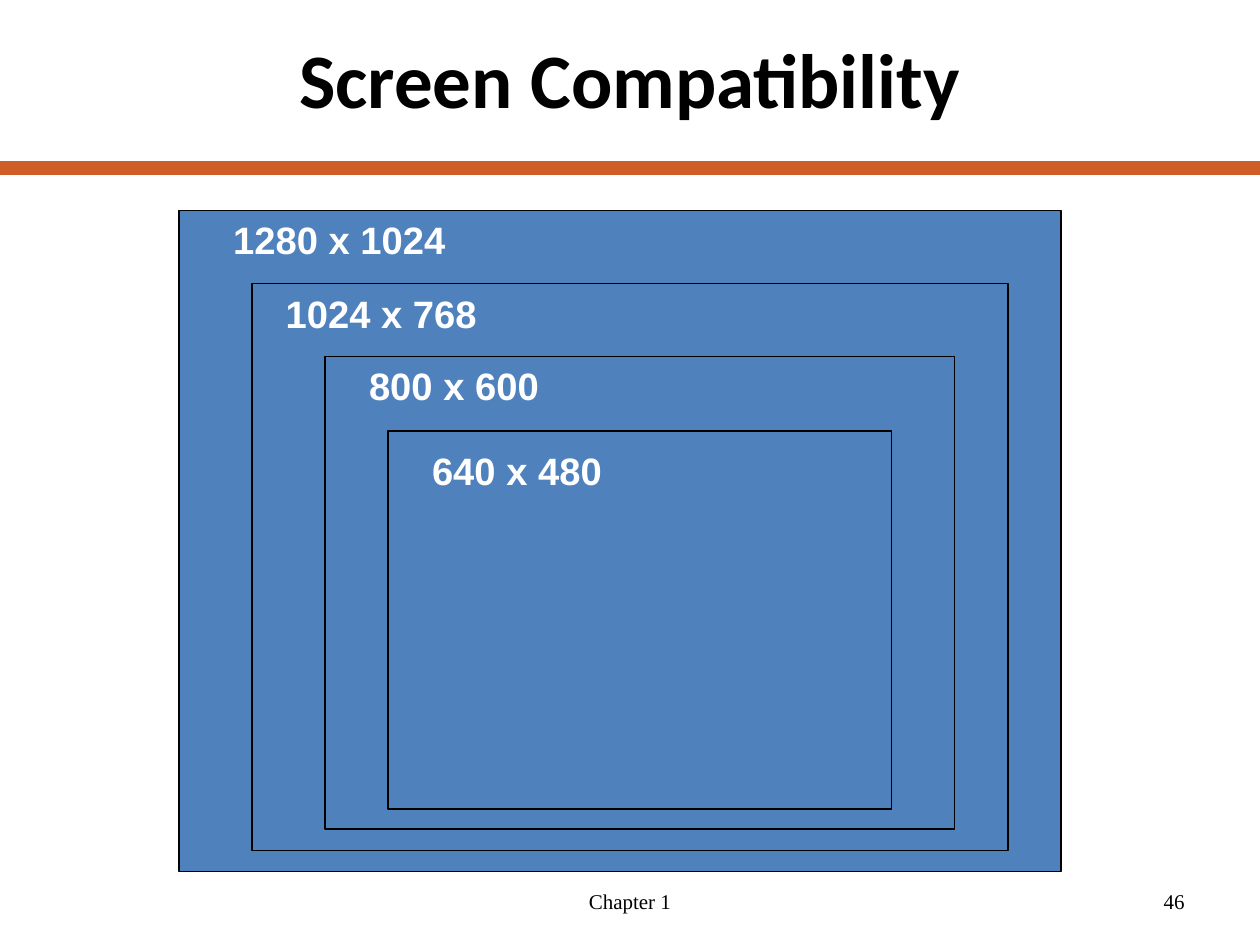
from lxml.etree import SubElement
from pptx import Presentation
from pptx.dml.color import RGBColor
from pptx.enum.shapes import MSO_CONNECTOR as Connector, MSO_SHAPE as Shape
from pptx.enum.text import MSO_ANCHOR as Anchor, PP_ALIGN as Align
from pptx.oxml.ns import qn
from pptx.util import Cm, Pt

WIDTH, HEIGHT = 25.4, 19.05
LABEL_HEIGHT = 1.19
SCREENS = [
    ("1280 x 1024", (3.61, 4.24), 17.78, (0.84, 0), 6.35),
    ("1024 x 768", (5.08, 5.72), 15.24, (0.43, 0), 6.99),
    ("800 x 600", (6.55, 7.19), 12.7, (0.64, 0), 4.02),
    ("640 x 480", (7.82, 8.69), 10.16, (0.64, 0.2), 4.02),
]


def paint(target, color):
    """Give a fill, line or font format a solid hex colour."""
    if hasattr(target, "solid"):
        target.solid()
        target.fore_color.rgb = RGBColor.from_string(color)
    else:
        target.color.rgb = RGBColor.from_string(color)


def write(frame, wording, face, size, color, bold=False, align=Align.LEFT, anchor=Anchor.TOP):
    """Write one formatted run into the first paragraph of a text frame."""
    frame.word_wrap = True
    frame.vertical_anchor = anchor
    paragraph = frame.paragraphs[0]
    paragraph.alignment = align
    run = paragraph.add_run()
    run.text = wording
    run.font.name, run.font.size, run.font.bold = face, Pt(size), bold
    paint(run.font, color)


def add_heading(slide, left, top, width, height):
    """Place the title and the full-width rule beneath it."""
    title = slide.shapes.title
    title.left, title.top, title.width, title.height = map(Cm, (left, top, width, height))
    write(title.text_frame, "Screen Compatibility", "Calibri", 44, "000000",
          bold=True, align=Align.CENTER, anchor=Anchor.MIDDLE)
    rule_top = Cm(top + height + 0.43)
    rule = slide.shapes.add_connector(Connector.STRAIGHT, 0, rule_top, Cm(WIDTH), rule_top)
    paint(rule.line, "CE5D28")
    rule.line.width = Pt(8)
    SubElement(rule._element.spPr, qn("a:effectLst"))


def add_screen(slide, resolution, left, top, width, label_offset, label_width):
    """Draw a 4:3 screen with its resolution near the top left corner."""
    screen = slide.shapes.add_shape(
        Shape.RECTANGLE, Cm(left), Cm(top), Cm(width), Cm(width * 3 / 4))
    screen.shadow.inherit = False
    paint(screen.fill, "4F81BD")
    paint(screen.line, "000000")
    screen.line.width = Pt(0.75)
    across, down = label_offset
    label = slide.shapes.add_textbox(
        Cm(left + across), Cm(top + down), Cm(label_width), Cm(LABEL_HEIGHT))
    write(label.text_frame, resolution, "Arial", 21.8, "FFFFFF", bold=True)


def add_footer(slide, left, top, width, height):
    """Place the chapter in the middle of the box and the page number at its right."""
    chapter_width, number_width = 8.04, 5.93
    parts = [
        ("Chapter 1", left + (width - chapter_width) / 2, chapter_width, Align.CENTER),
        ("46", left + width - number_width, number_width, Align.RIGHT),
    ]
    for wording, part_left, part_width, align in parts:
        part = slide.shapes.add_textbox(Cm(part_left), Cm(top), Cm(part_width), Cm(height))
        write(part.text_frame, wording, "Times New Roman", 12, "000000",
              align=align, anchor=Anchor.MIDDLE)


def main():
    """Build and save the slide."""
    deck = Presentation()
    deck.slide_width, deck.slide_height = Cm(WIDTH), Cm(HEIGHT)
    slide = deck.slides.add_slide(deck.slide_layouts[5])
    paint(slide.background.fill, "FFFFFF")
    add_heading(slide, 1.27, 0.2, 22.86, 2.75)
    for resolution, (left, top), width, label_offset, label_width in SCREENS:
        add_screen(slide, resolution, left, top, width, label_offset, label_width)
    add_footer(slide, 1.27, 17.65, 22.86, 1.02)
    deck.save("out.pptx")


if __name__ == "__main__":
    main()
